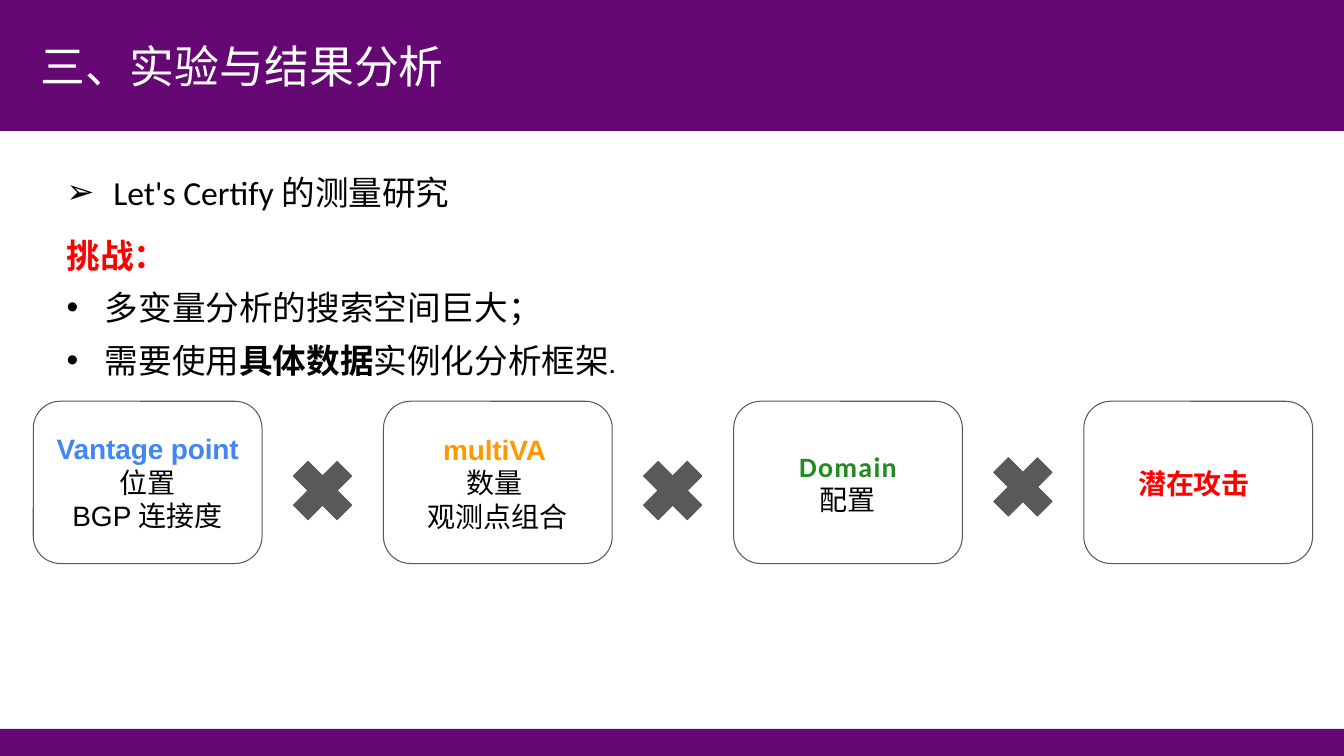
from dataclasses import dataclass

from lxml.etree import SubElement
from pptx import Presentation
from pptx.dml.color import RGBColor
from pptx.enum.shapes import MSO_SHAPE as Preset
from pptx.enum.text import MSO_ANCHOR as Anchor, MSO_AUTO_SIZE as AutoSize, PP_ALIGN as Align
from pptx.oxml.ns import qn
from pptx.util import Pt


@dataclass(frozen=True)
class Theme:
    purple: str = "660874"
    white: str = "FFFFFF"
    black: str = "000000"
    grey: str = "595959"
    blue: str = "4285F4"
    orange: str = "FF9900"
    green: str = "228B22"
    red: str = "FF0000"
    cjk: str = "Noto Sans CJK SC"
    title_size: int = 32
    body_size: int = 24
    label_size: int = 20
    line_width: float = 0.75


THEME = Theme()
WIDTH, HEIGHT = 960, 540


def set_attributes(target, values):
    for name, value in values.items():
        setattr(target, name, value)


def place(shape, box):
    names = ("left", "top", "width", "height")
    set_attributes(shape, {name: Pt(value) for name, value in zip(names, box)})


def paint(shape, fill=None, line=None):
    shape.shadow.inherit = False
    if fill:
        shape.fill.solid()
        shape.fill.fore_color.rgb = RGBColor.from_string(fill)
    else:
        shape.fill.background()
    if line:
        shape.line.color.rgb = RGBColor.from_string(line)
        shape.line.width = Pt(THEME.line_width)
    else:
        shape.line.fill.background()


def add_run(paragraph, text, font, size, color=THEME.black, bold=False, spacing=0):
    run = paragraph.add_run()
    run.text = text
    set_attributes(run.font, {"name": font, "size": Pt(size), "bold": bold})
    run.font.color.rgb = RGBColor.from_string(color)
    properties = run._r.get_or_add_rPr()
    SubElement(properties, qn("a:ea"), typeface=THEME.cjk)
    if spacing:
        properties.set("spc", str(round(spacing * 100)))


def set_bullet(paragraph, character=None, indent=0, tab=None):
    properties = paragraph._p.get_or_add_pPr()
    properties.set("marL", str(Pt(indent)))
    properties.set("indent", str(-Pt(indent)))
    if character:
        SubElement(properties, qn("a:buFont"), typeface="Arial")
        SubElement(properties, qn("a:buChar"), char=character)
    else:
        SubElement(properties, qn("a:buNone"))
    if tab:
        tabs = SubElement(properties, qn("a:tabLst"))
        SubElement(tabs, qn("a:tab"), pos=str(Pt(tab)), algn="l")


def add_paragraph(frame, index, **formats):
    paragraph = frame.add_paragraph() if index else frame.paragraphs[0]
    set_attributes(paragraph, {"space_before": Pt(0), **formats})
    return paragraph


def add_text_box(slide, box, **formats):
    frame = slide.shapes.add_textbox(*map(Pt, box)).text_frame
    set_attributes(frame, {"word_wrap": True, **formats})
    return frame


def add_bar(slide, box):
    bar = slide.shapes.add_shape(Preset.RECTANGLE, *map(Pt, box))
    paint(bar, THEME.purple)
    slide.shapes._spTree.insert(2, bar._element)


def fill_title(slide, box):
    title = slide.shapes.title
    place(title, box)
    frame = title.text_frame
    set_attributes(frame, {"vertical_anchor": Anchor.MIDDLE, "auto_size": AutoSize.NONE, "word_wrap": True})
    paragraph = add_paragraph(frame, 0, alignment=Align.LEFT)
    add_run(paragraph, "三、实验与结果分析", THEME.cjk, THEME.title_size, THEME.white)


def add_topic(slide, box):
    frame = add_text_box(slide, box)
    paragraph = add_paragraph(frame, 0, line_spacing=1.15)
    set_bullet(paragraph, "➢", 33.5, 33.5)
    add_run(paragraph, "Let's Certify 的测量研究", "Calibri", THEME.body_size)


def fill_challenges(slide, box):
    body = slide.placeholders[1]
    place(body, box)
    set_attributes(body.text_frame, {"auto_size": AutoSize.NONE, "word_wrap": True})
    paragraphs = [
        (None, 0, [("挑战：", THEME.red, True)]),
        ("•", 27.4, [("多变量分析的搜索空间巨大；", THEME.black, False)]),
        ("•", 27.4, [
            ("需要使用", THEME.black, False),
            ("具体数据", THEME.black, True),
            ("实例化分析框架.", THEME.black, False),
        ]),
    ]
    for index, (bullet, indent, runs) in enumerate(paragraphs):
        paragraph = add_paragraph(body.text_frame, index, line_spacing=1.3)
        set_bullet(paragraph, bullet, indent)
        for text, color, bold in runs:
            add_run(paragraph, text, "Cabin", THEME.body_size, color, bold)


def add_factor(slide, box, label, font, color, spacing, heading, details, alignment):
    left, top, width, height = box
    outline = slide.shapes.add_shape(Preset.ROUNDED_RECTANGLE, *map(Pt, box))
    paint(outline, line=THEME.grey)
    inset, drop, label_height = label
    frame = add_text_box(
        slide, (left + inset, top + drop, width - 2 * inset, label_height),
        margin_left=0, margin_right=0, margin_bottom=0, margin_top=Pt(1.4))
    add_run(add_paragraph(frame, 0, alignment=alignment), heading, font, THEME.label_size, color, True, spacing)
    for index, detail in enumerate(details, 1):
        add_run(add_paragraph(frame, index, alignment=alignment), detail, font, THEME.label_size)


def add_cross(slide, center_x, center_y, reach=20.8):
    half = reach / 2
    arm = [(reach, -half), (half, 0), (reach, half)]
    points = []
    for _ in range(4):
        points += arm
        arm = [(-y, x) for x, y in arm]
    corners = [(Pt(center_x + x), Pt(center_y + y)) for x, y in points]
    builder = slide.shapes.build_freeform(*corners[0])
    builder.add_line_segments(corners[1:], close=True)
    paint(builder.convert_to_shape(), THEME.grey, THEME.grey)


def add_factor_row(slide, box):
    left, top, width, height = box
    card_width = 163.4
    pitch = (width - card_width) / 3
    factors = [
        ((14.8, 20.2, 75), "Arial", THEME.blue, -0.1, "Vantage point", ["位置", "BGP 连接度"], Align.CENTER),
        ((15.4, 20.8, 74), "Arial", THEME.orange, -0.1, "multiVA ", ["数量 ", "观测点组合"], Align.CENTER),
        ((22, 33, 50), "Calibri", THEME.green, 0.9, "Domain", ["配置"], Align.CENTER),
        ((38.8, 45.4, 25), THEME.cjk, THEME.red, -0.1, "潜在攻击", [], Align.LEFT),
    ]
    for column, factor in enumerate(factors):
        add_factor(slide, (left + column * pitch, top, card_width, height), *factor)
    for column, drop in enumerate((63.8, 63.8, 61.2)):
        add_cross(slide, left + 206.6 + column * pitch, top + drop)


def main():
    presentation = Presentation()
    set_attributes(presentation, {"slide_width": Pt(WIDTH), "slide_height": Pt(HEIGHT)})
    slide = presentation.slides.add_slide(presentation.slide_layouts[1])
    add_bar(slide, (0, 0, WIDTH, 93.6))
    add_bar(slide, (0, 520.6, WIDTH, 19.4))
    fill_title(slide, (21.6, 7.2, 850, 80))
    add_topic(slide, (40.3, 115.2, 320, 40.3))
    fill_challenges(slide, (40.3, 155.5, 718, 120))
    add_factor_row(slide, (23.8, 286.6, 913.8, 115.9))
    presentation.save("out.pptx")


if __name__ == "__main__":
    main()
